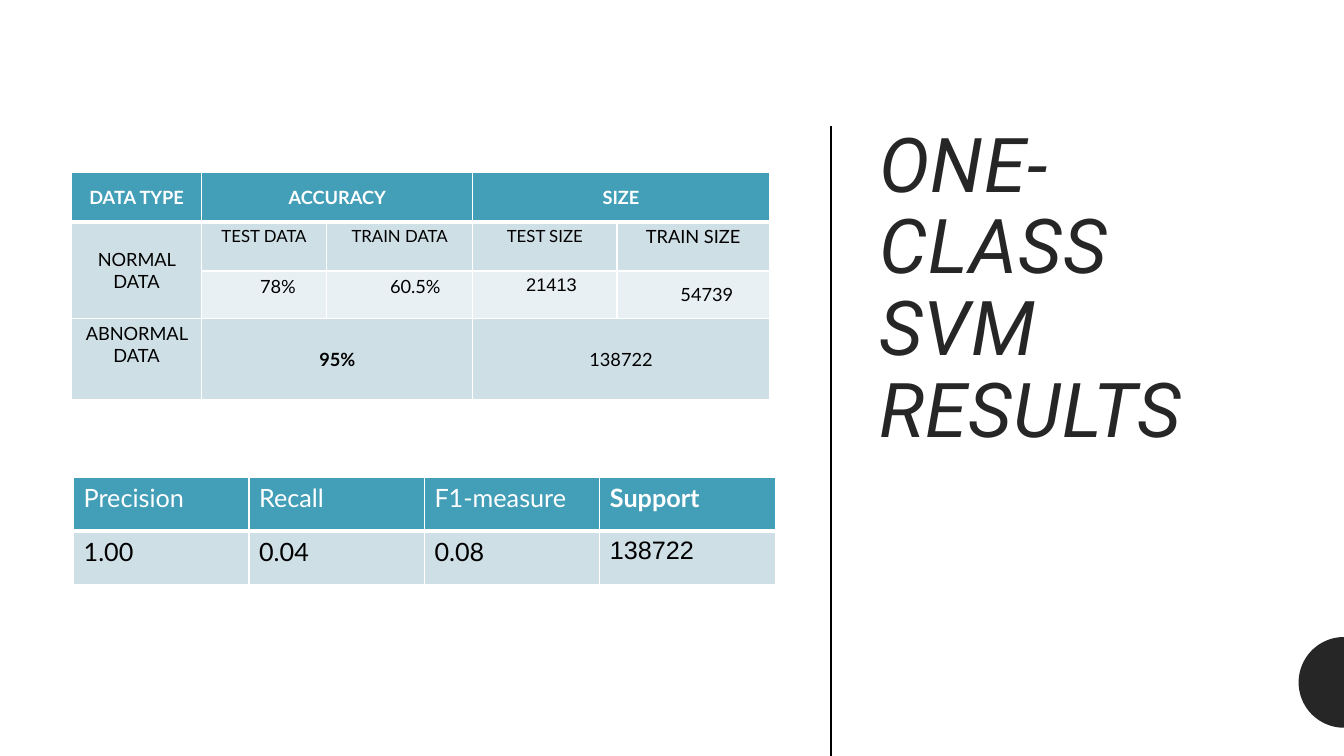
from math import cos, pi, sin

from lxml import etree
from pptx import Presentation
from pptx.dml.color import RGBColor
from pptx.enum.shapes import MSO_CONNECTOR
from pptx.enum.text import MSO_ANCHOR, PP_ALIGN
from pptx.oxml.ns import qn
from pptx.util import Inches, Pt

LEFT, CENTER = PP_ALIGN.LEFT, PP_ALIGN.CENTER
TOP, MIDDLE = MSO_ANCHOR.TOP, MSO_ANCHOR.MIDDLE
STRAIGHT = MSO_CONNECTOR.STRAIGHT

# Content
TITLE = "ONE-CLASS SVM RESULTS"

ACCURACY = {
    "place": (0.71, 1.71),
    "columns": [1.29, 1.24, 1.45, 1.43, 1.51],
    "rows": [0.49, 0.49, 0.47, 0.81],
    "cells": [
        ["DATA TYPE", "ACCURACY", "", "SIZE", ""],
        ["NORMAL DATA", "TEST DATA", "TRAIN DATA", "TEST SIZE", "TRAIN SIZE"],
        ["", "78%", "60.5%", "21413", "54739"],
        ["ABNORMAL DATA", "95%", "", "138722", ""],
    ],
    "merges": [((0, 1), (0, 2)), ((0, 3), (0, 4)), ((1, 0), (2, 0)),
               ((3, 1), (3, 2)), ((3, 3), (3, 4))],
    "fills": ["header", "band", "light", "band"],
    "size": "table",
    "small": ["TEST DATA", "TRAIN DATA", "TEST SIZE"],
    "bold": ["DATA TYPE", "ACCURACY", "SIZE", "95%"],
    "arial": ["21413"],
    "align": CENTER,
    "middle": ["DATA TYPE", "ACCURACY", "SIZE", "NORMAL DATA", "54739",
               "95%", "138722"],
    "indents": {"78%": 0.58, "60.5%": 0.63, "21413": 0.53, "54739": 0.63},
    "margins": (0.07, 0.04),
}

SCORES = {
    "place": (0.73, 4.74),
    "columns": [1.74] * 4,
    "rows": [0.53] * 2,
    "cells": [
        ["Precision", "Recall", "F1-measure", "Support"],
        ["1.00", "0.04", "0.08", "138722"],
    ],
    "merges": [],
    "fills": ["header", "band"],
    "size": "scores",
    "small": [],
    "bold": ["Support"],
    "arial": ["138722"],
    "align": LEFT,
    "middle": [],
    "indents": {},
    "margins": (0.1, 0.05),
}

THEME = {
    "header": "439EB7", "band": "CFDFE6", "light": "E9F0F3",
    "white": "FFFFFF", "black": "000000", "dark": "262626",
    "sizes": {"title": 54, "scores": 18, "table": 13, "small": 12},
    "title_font": "Roboto", "body_font": "Lato", "number_font": "Arial",
}


def color(name):
    return RGBColor.from_string(THEME[name])


def format_span(span, size, font, tint, bold=False, italic=False):
    span.font.size = Pt(THEME["sizes"][size])
    span.font.name = font
    span.font.color.rgb = color(tint)
    span.font.bold = bold
    span.font.italic = italic


def add_borders(cell, bottom):
    properties = cell._tc.get_or_add_tcPr()
    for side, width in (("L", 1), ("R", 1), ("T", 1), ("B", bottom)):
        line = etree.SubElement(properties, qn("a:ln" + side), w=str(Pt(width)))
        fill = etree.SubElement(line, qn("a:solidFill"))
        etree.SubElement(fill, qn("a:srgbClr"), val=THEME["white"])


def add_result_table(page, data):
    columns, rows = data["columns"], data["rows"]
    x, y = data["place"]
    frame = page.shapes.add_table(len(rows), len(columns), Inches(x), Inches(y),
                                  Inches(sum(columns)), Inches(sum(rows)))
    table = frame.table
    table.horz_banding = False
    for column, width in zip(table.columns, columns):
        column.width = Inches(width)
    for row, height in zip(table.rows, rows):
        row.height = Inches(height)
    for first, last in data["merges"]:
        table.cell(*first).merge(table.cell(*last))

    side, edge = data["margins"]
    for r, texts in enumerate(data["cells"]):
        for c, text in enumerate(texts):
            cell = table.cell(r, c)
            add_borders(cell, 3 if r == 0 else 1)
            cell.fill.solid()
            cell.fill.fore_color.rgb = color(data["fills"][r])
            if not text:
                continue
            indent = data["indents"].get(text)
            cell.margin_left = Inches(indent or side)
            cell.margin_right = Inches(side)
            cell.margin_top = cell.margin_bottom = Inches(edge)
            cell.vertical_anchor = MIDDLE if text in data["middle"] else TOP
            cell.text_frame.text = text
            para = cell.text_frame.paragraphs[0]
            para.alignment = LEFT if indent else data["align"]
            format_span(
                para.runs[0],
                "small" if text in data["small"] else data["size"],
                THEME["number_font" if text in data["arial"] else "body_font"],
                "white" if r == 0 else "black",
                bold=text in data["bold"])


deck = Presentation()
deck.slide_width, deck.slide_height = Inches(13.33), Inches(7.5)
page = deck.slides.add_slide(deck.slide_layouts[6])

# Half circle on the right edge
RADIUS, CENTER_X, CENTER_Y, STEPS = 0.45, 13.33, 6.77, 48
arc = [(Inches(CENTER_X - RADIUS * sin(pi * i / STEPS)),
        Inches(CENTER_Y - RADIUS * cos(pi * i / STEPS)))
       for i in range(STEPS + 1)]
builder = page.shapes.build_freeform(*arc[0])
builder.add_line_segments(arc[1:], close=True)
half_circle = builder.convert_to_shape()
half_circle.shadow.inherit = False
half_circle.fill.solid()
half_circle.fill.fore_color.rgb = color("dark")
half_circle.line.fill.background()

# Title
box = page.shapes.add_textbox(Inches(8.62), Inches(1.21), Inches(3.79), Inches(3.44))
box.text_frame.word_wrap = True
box.text_frame.vertical_anchor = TOP
box.text_frame.text = TITLE
para = box.text_frame.paragraphs[0]
para.line_spacing = 0.9
format_span(para.runs[0], "title", THEME["title_font"], "dark", italic=True)
para.runs[0].font._element.set("spc", "100")

# Divider
divider = page.shapes.add_connector(STRAIGHT, Inches(8.24), Inches(1.25),
                                    Inches(8.24), Inches(7.5))
divider.line.color.rgb = color("black")
divider.line.width = Pt(1.5)
etree.SubElement(divider._element.spPr, qn("a:effectLst"))

# Tables
for data in (ACCURACY, SCORES):
    add_result_table(page, data)

deck.save("out.pptx")
